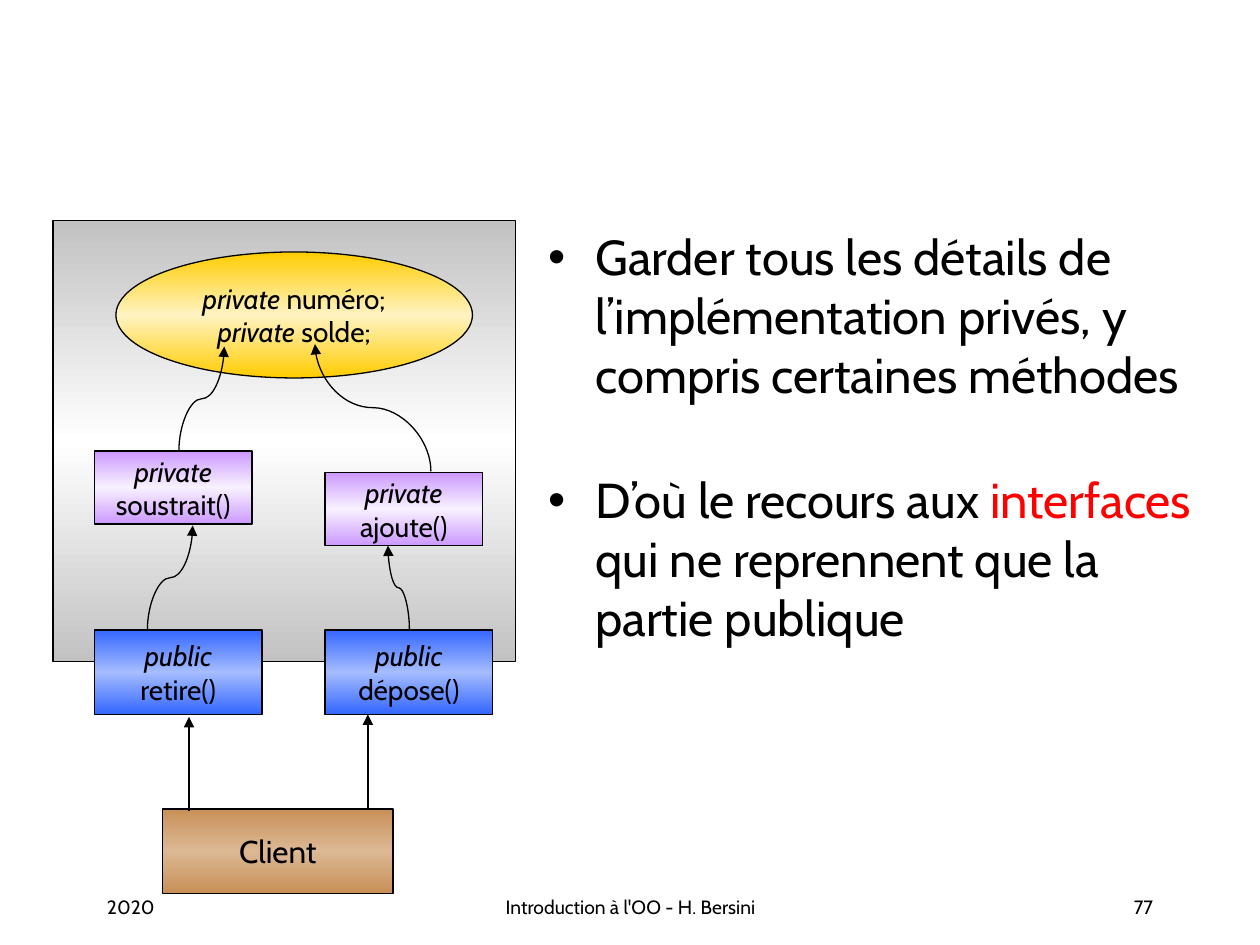
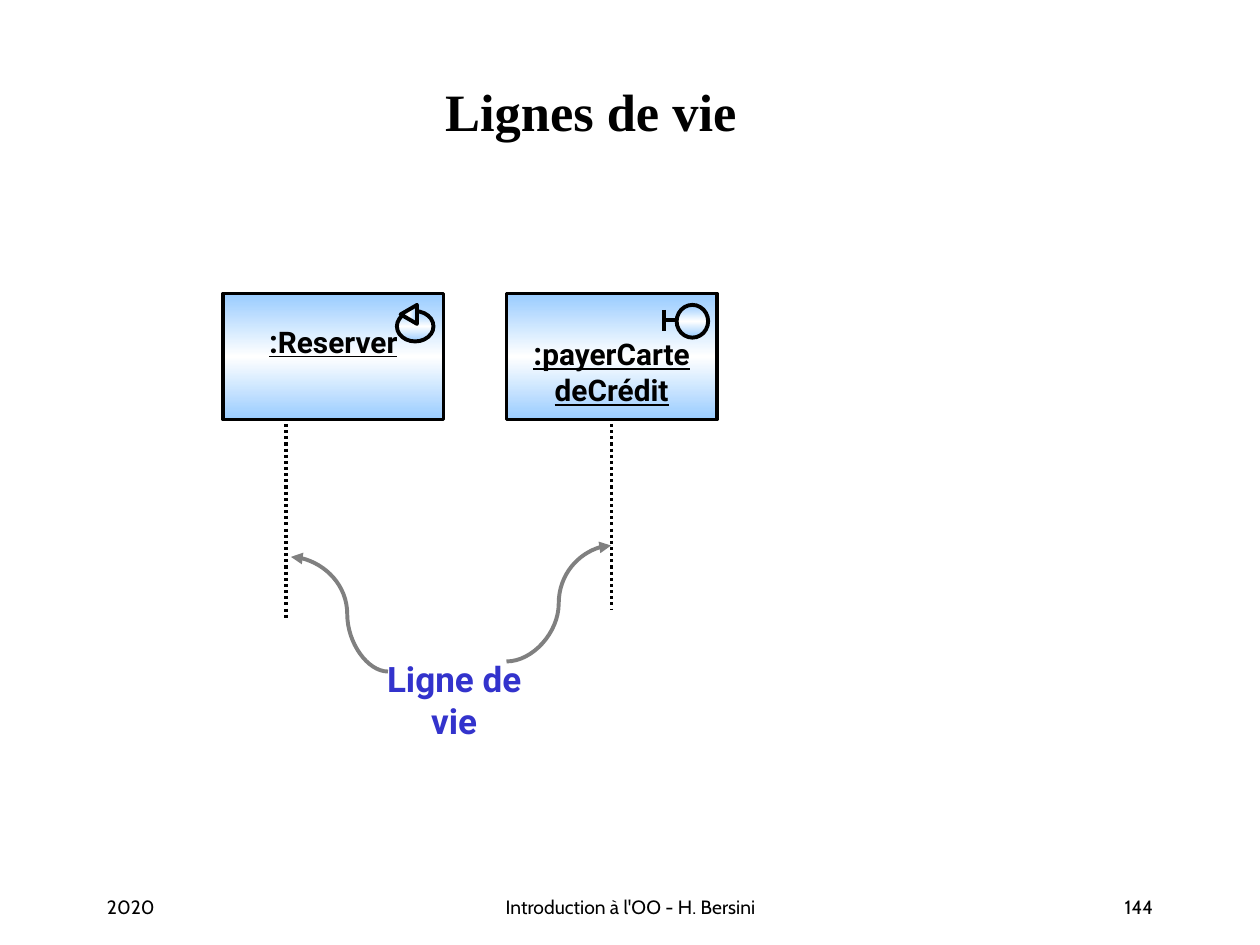
from copy import deepcopy
from dataclasses import dataclass, field
from typing import Any, NamedTuple

from lxml.etree import SubElement
from pptx import Presentation
from pptx.dml.color import RGBColor
from pptx.enum.dml import MSO_LINE
from pptx.enum.shapes import MSO_CONNECTOR, MSO_SHAPE
from pptx.enum.text import MSO_ANCHOR, MSO_AUTO_SIZE, PP_ALIGN
from pptx.oxml.ns import qn
from pptx.util import Inches, Pt

COLORS = {
    "black": "000000",
    "white": "FFFFFF",
    "red": "FF0000",
    "grey": "808080",
    "label": "3333CC",
}
GRADIENTS = {
    "object": ("C2C2C2", "FFFFFF"),
    "state": ("FFCC00", "FFF3C2"),
    "public": ("3366FF", "A5BCFF"),
    "private": ("CC99FF", "F8F1FF"),
    "client": ("C89058", "DCB894"),
    "lifeline": ("99CCFF", "FFFFFF"),
}
MEMBER = {"name": "Cabin", "size": Pt(16)}
KEYWORD = {**MEMBER, "italic": True}
CLIENT = {"name": "Cabin", "size": Pt(18)}
BODY = {"name": "Cabin", "size": Pt(28)}
FOOTER = {"name": "Cabin", "size": Pt(11)}
TITLE = {"name": "Times New Roman", "size": Pt(30), "bold": True}
INSTANCE = {"name": "Roboto", "size": Pt(17), "bold": True, "underline": True}
COLON = {**INSTANCE, "size": Pt(18)}
CAPTION = {"name": "Roboto", "size": Pt(20), "bold": True}


class Run(NamedTuple):
    text: str
    font: dict[str, Any]
    color: str = "black"


Lines = tuple[tuple[Run, ...], ...]


@dataclass
class Box:
    left: float
    top: float
    width: float
    height: float
    gradient: str
    lines: Lines = ()
    preset: MSO_SHAPE = MSO_SHAPE.RECTANGLE
    weight: float = 0.75
    rotation: float = 0
    frame: dict[str, Any] = field(default_factory=dict)


@dataclass
class Link:
    start: tuple[float, float]
    end: tuple[float, float]
    curved: bool = False
    vertical: bool = False
    arrow: bool = True
    color: str = "black"
    weight: float = 0.75
    dash: Any = None
    bend: float = 0.5


def rgb(value: str) -> RGBColor:
    return RGBColor.from_string(value)


def apply(target: Any, values: dict[str, Any]) -> None:
    for key, value in values.items():
        setattr(target, key, value)


def write(frame: Any, lines: Lines, align: PP_ALIGN) -> None:
    for index, runs in enumerate(lines):
        paragraph = frame.paragraphs[0] if index == 0 else frame.add_paragraph()
        paragraph.alignment = align
        for part in runs:
            run = paragraph.add_run()
            run.text = part.text
            apply(run.font, part.font)
            run.font.color.rgb = rgb(COLORS[part.color])


def place(shape: Any, left: float, top: float, width: float, height: float) -> None:
    apply(shape, {"left": Inches(left), "top": Inches(top),
                  "width": Inches(width), "height": Inches(height)})


def draw_box(slide: Any, box: Box) -> None:
    shape = slide.shapes.add_shape(
        box.preset, Inches(box.left), Inches(box.top), Inches(box.width), Inches(box.height))
    shape.shadow.inherit = False
    shape.rotation = box.rotation
    shape.fill.gradient()
    shape.fill.gradient_angle = 90
    stops = shape._element.spPr.find(".//" + qn("a:gsLst"))
    stops.append(deepcopy(stops[0]))
    edge, middle = GRADIENTS[box.gradient]
    for stop, color, position in zip(shape.fill.gradient_stops, (edge, middle, edge), (0, 0.5, 1)):
        stop.color.rgb = rgb(color)
        stop.position = position
    shape.line.color.rgb = rgb(COLORS["black"])
    shape.line.width = Pt(box.weight)
    if box.lines:
        apply(shape.text_frame,
              {"word_wrap": False, "vertical_anchor": MSO_ANCHOR.MIDDLE, **box.frame})
        write(shape.text_frame, box.lines, PP_ALIGN.CENTER)


def draw_link(slide: Any, link: Link) -> None:
    (x1, y1), (x2, y2) = link.start, link.end
    turn = 0
    if link.vertical:
        half_run, half_rise = abs(y2 - y1) / 2, abs(x2 - x1) / 2
        middle_x, middle_y = (x1 + x2) / 2, (y1 + y2) / 2
        side, turn = (-1, 270) if x2 > x1 else (1, 90)
        x1, x2 = middle_x + side * half_run, middle_x - side * half_run
        y1, y2 = middle_y - half_rise, middle_y + half_rise
    kind = MSO_CONNECTOR.CURVE if link.curved else MSO_CONNECTOR.STRAIGHT
    connector = slide.shapes.add_connector(kind, Inches(x1), Inches(y1), Inches(x2), Inches(y2))
    connector.line.color.rgb = rgb(COLORS[link.color])
    connector.line.width = Pt(link.weight)
    if link.dash:
        connector.line.dash_style = link.dash
    properties = connector._element.spPr
    if turn:
        properties.find(qn("a:xfrm")).set("rot", str(turn * 60000))
    if link.curved:
        guides = properties.find(qn("a:prstGeom")).find(qn("a:avLst"))
        SubElement(guides, qn("a:gd"), name="adj1", fmla=f"val {round(link.bend * 100000)}")
    if link.arrow:
        SubElement(properties.find(qn("a:ln")), qn("a:tailEnd"), type="triangle")
    SubElement(properties, qn("a:effectLst"))


def add_text(slide: Any, left: float, top: float, width: float, height: float,
             run: Run, align: PP_ALIGN) -> None:
    frame = slide.shapes.add_textbox(
        Inches(left), Inches(top), Inches(width), Inches(height)).text_frame
    frame.word_wrap = True
    write(frame, ((run,),), align)


def add_footers(slide: Any, number: str) -> None:
    for left, width, text, align in (
        (0.75, 2.08, "2020", PP_ALIGN.LEFT),
        (3.42, 3.17, "Introduction à l'OO - H. Bersini", PP_ALIGN.CENTER),
        (7.17, 2.08, number, PP_ALIGN.RIGHT),
    ):
        add_text(slide, left, 7.06, width, 0.28, Run(text, FOOTER), align)


def member(keyword: str, name: str) -> Lines:
    return (Run(keyword, KEYWORD),), (Run(name, MEMBER),)


def build_encapsulation(deck: Any) -> None:
    slide = deck.slides.add_slide(deck.slide_layouts[1])
    empty_title = slide.shapes.title._element
    empty_title.getparent().remove(empty_title)
    advice = slide.placeholders[1]
    place(advice, 4.25, 1.75, 5.42, 5.5)
    advice.text_frame.auto_size = MSO_AUTO_SIZE.NONE
    write(advice.text_frame, (
        (Run("Garder tous les détails de l’implémentation privés, y compris certaines méthodes",
             BODY),),
        (Run("D’où le recours aux ", BODY), Run("interfaces", BODY, "red"),
         Run(" qui ne reprennent que la partie publique", BODY)),
    ), PP_ALIGN.LEFT)
    for paragraph, gap in zip(advice.text_frame.paragraphs, (0, 38)):
        paragraph.space_before = Pt(gap)

    state = tuple((Run("private ", KEYWORD), Run(name, MEMBER)) for name in ("numéro;", "solde;"))
    for box in (
        Box(0.42, 1.75, 3.67, 3.5, "object"),
        Box(0.92, 2, 2.83, 1, "state", state, MSO_SHAPE.OVAL),
        Box(2.58, 5, 1.33, 0.67, "public", member("public", "dépose()")),
        Box(0.75, 5, 1.33, 0.67, "public", member("public", "retire()")),
        Box(0.75, 3.58, 1.25, 0.58, "private", member("private", "soustrait()")),
        Box(2.58, 3.75, 1.25, 0.58, "private", member("private", "ajoute()")),
        Box(1.29, 6.42, 1.83, 0.67, "client", ((Run("Client", CLIENT),),)),
    ):
        draw_box(slide, box)
    for start, end in (((2.92, 6.42), (2.92, 5.67)), ((1.5, 6.44), (1.5, 5.69))):
        draw_link(slide, Link(start, end))
    for start, end in (
        ((1.42, 3.58), (1.78, 2.75)),
        ((1.17, 5), (1.53, 4.17)),
        ((3.42, 3.74), (2.5, 2.73)),
        ((3.25, 5), (3.08, 4.33)),
    ):
        draw_link(slide, Link(start, end, curved=True, vertical=True))
    add_footers(slide, "77")


def build_lifelines(deck: Any) -> None:
    slide = deck.slides.add_slide(deck.slide_layouts[5])
    title = slide.shapes.title
    place(title, 0.44, 0.25, 8.5, 1.25)
    title.text_frame.vertical_anchor = MSO_ANCHOR.MIDDLE
    write(title.text_frame, ((Run("Lignes de vie", TITLE),),), PP_ALIGN.CENTER)

    for x, bottom in ((2.27, 4.92), (4.85, 4.83)):
        draw_link(slide, Link((x, 3.17), (x, bottom), arrow=False, weight=1.75,
                              dash=MSO_LINE.ROUND_DOT))
    add_text(slide, 2.94, 5.17, 1.33, 0.76, Run("Ligne de vie", CAPTION, "label"),
             PP_ALIGN.CENTER)
    for start, end, bend in (
        ((4.02, 5.25), (4.85, 4.33), 0.5),
        ((3.08, 5.33), (2.31, 4.42), 0.42),
    ):
        draw_link(slide, Link(start, end, curved=True, color="grey", weight=2.25, bend=bend))

    payment = (Run(":", COLON), Run("payerCarte", INSTANCE)), (Run("deCrédit", INSTANCE),)
    booking = ((Run(":", COLON), Run("Reserver", INSTANCE)),)
    for box in (
        Box(4.02, 2.33, 1.67, 1, "lifeline", payment, frame={"margin_top": Inches(0.28)}),
        Box(5.37, 2.42, 0.25, 0.26, "lifeline", preset=MSO_SHAPE.OVAL),
        Box(1.77, 2.33, 1.75, 1, "lifeline", booking, frame={"margin_bottom": Inches(0.3)}),
        Box(3.15, 2.47, 0.29, 0.24, "lifeline", preset=MSO_SHAPE.OVAL),
        Box(3.17, 2.43, 0.15, 0.13, "lifeline", preset=MSO_SHAPE.ISOSCELES_TRIANGLE,
            rotation=270),
    ):
        box.weight = 2.25
        draw_box(slide, box)
    for start, end in (((5.27, 2.46), (5.27, 2.63)), ((5.37, 2.54), (5.27, 2.54))):
        draw_link(slide, Link(start, end, arrow=False, weight=2.25))
    add_footers(slide, "144")


def main() -> None:
    deck = Presentation()
    deck.slide_width, deck.slide_height = Inches(10), Inches(7.5)
    background = deck.slide_master.background.fill
    background.solid()
    background.fore_color.rgb = rgb(COLORS["white"])
    build_encapsulation(deck)
    build_lifelines(deck)
    deck.save("out.pptx")


if __name__ == "__main__":
    main()
